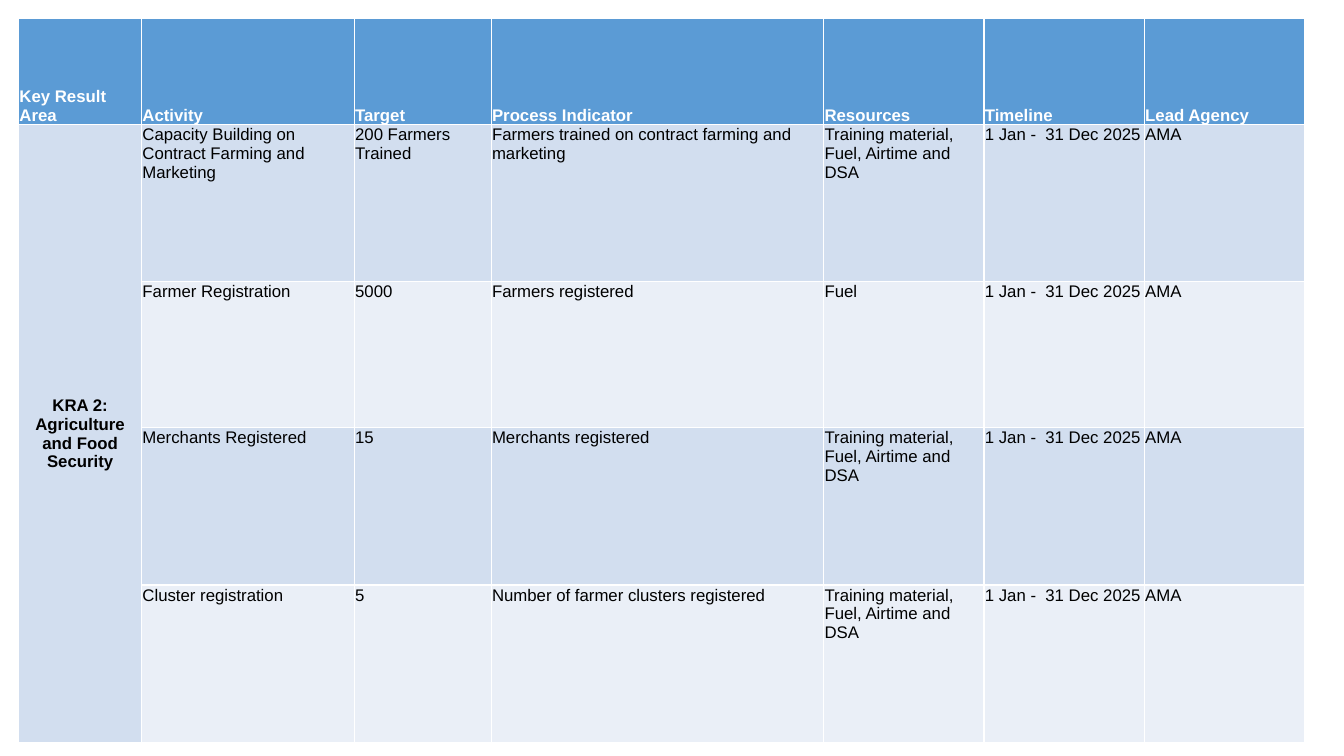
import pptx
import pptx.util
from pptx.dml.color import RGBColor
from pptx.enum.text import MSO_ANCHOR, PP_ALIGN
from pptx.util import Cm, Pt

WHITE = RGBColor(0xFF, 0xFF, 0xFF)
BLACK = RGBColor(0x00, 0x00, 0x00)
HEADER_BLUE = RGBColor(0x5B, 0x9B, 0xD5)
BAND_DARK = RGBColor(0xD2, 0xDE, 0xEF)
BAND_LIGHT = RGBColor(0xEA, 0xEF, 0xF7)

COLUMN_WIDTHS = [3.1, 5.36, 3.45, 8.38, 4.04, 4.04, 4.04]
ROW_HEIGHTS = [2.67, 3.96, 3.68, 3.96, 3.96]

HEADINGS = ["Key Result Area", "Activity", "Target", "Process Indicator",
            "Resources", "Timeline", "Lead Agency"]
KEY_RESULT_AREA = "KRA 2: Agriculture and Food Security"
FULL_RESOURCES = "Training material, Fuel, Airtime and DSA"
TIMELINE = "1 Jan -  31 Dec 2025"
LEAD_AGENCY = "AMA"
ACTIVITIES = [
    ("Capacity Building on\nContract Farming and\nMarketing", "200 Farmers Trained",
     "Farmers trained on contract farming and marketing", FULL_RESOURCES),
    ("Farmer Registration", "5000", "Farmers registered", "Fuel"),
    ("Merchants Registered", "15", "Merchants registered", FULL_RESOURCES),
    ("Cluster registration", "5", "Number of farmer clusters registered", FULL_RESOURCES),
]


class WorkPlan:
    FONT = {"name": "Arial", "size": Pt(12)}
    MARGINS = {"margin_left": Cm(0.02), "margin_right": Cm(0.02),
               "margin_top": Cm(0.02), "margin_bottom": Cm(0)}

    def __init__(self, presentation):
        self.slide = presentation.slides.add_slide(presentation.slide_layouts[6])

    def table(self, left, top, widths, heights):
        grid = self.slide.shapes.add_table(
            len(heights), len(widths), Cm(left), Cm(top),
            Cm(sum(widths)), Cm(sum(heights))).table
        for column, width in zip(grid.columns, widths):
            column.width = Cm(width)
        for row, height in zip(grid.rows, heights):
            row.height = Cm(height)
        return grid

    def cell(self, cell, text, fill, color=BLACK, bold=False,
             anchor=MSO_ANCHOR.TOP, align=PP_ALIGN.LEFT):
        cell.fill.solid()
        cell.fill.fore_color.rgb = fill
        for name, value in {**self.MARGINS, "vertical_anchor": anchor}.items():
            setattr(cell, name, value)
        cell.text = text
        for paragraph in cell.text_frame.paragraphs:
            paragraph.alignment = align
            for run in paragraph.runs:
                for name, value in {**self.FONT, "bold": bold}.items():
                    setattr(run.font, name, value)
                run.font.color.rgb = color


def main():
    presentation = pptx.Presentation()
    presentation.slide_width = Cm(33.87)
    presentation.slide_height = Cm(19.05)

    plan = WorkPlan(presentation)
    grid = plan.table(0.47, 0.47, COLUMN_WIDTHS, ROW_HEIGHTS)

    for column, heading in enumerate(HEADINGS):
        plan.cell(grid.cell(0, column), heading, HEADER_BLUE, WHITE, True,
                  MSO_ANCHOR.BOTTOM)

    for row, activity in enumerate(ACTIVITIES, start=1):
        band = BAND_DARK if row % 2 else BAND_LIGHT
        for column, text in enumerate((*activity, TIMELINE, LEAD_AGENCY), start=1):
            plan.cell(grid.cell(row, column), text, band)

    area = grid.cell(1, 0)
    area.merge(grid.cell(len(ACTIVITIES), 0))
    plan.cell(area, KEY_RESULT_AREA, BAND_DARK, bold=True,
              anchor=MSO_ANCHOR.MIDDLE, align=PP_ALIGN.CENTER)

    presentation.save("out.pptx")


if __name__ == "__main__":
    main()
